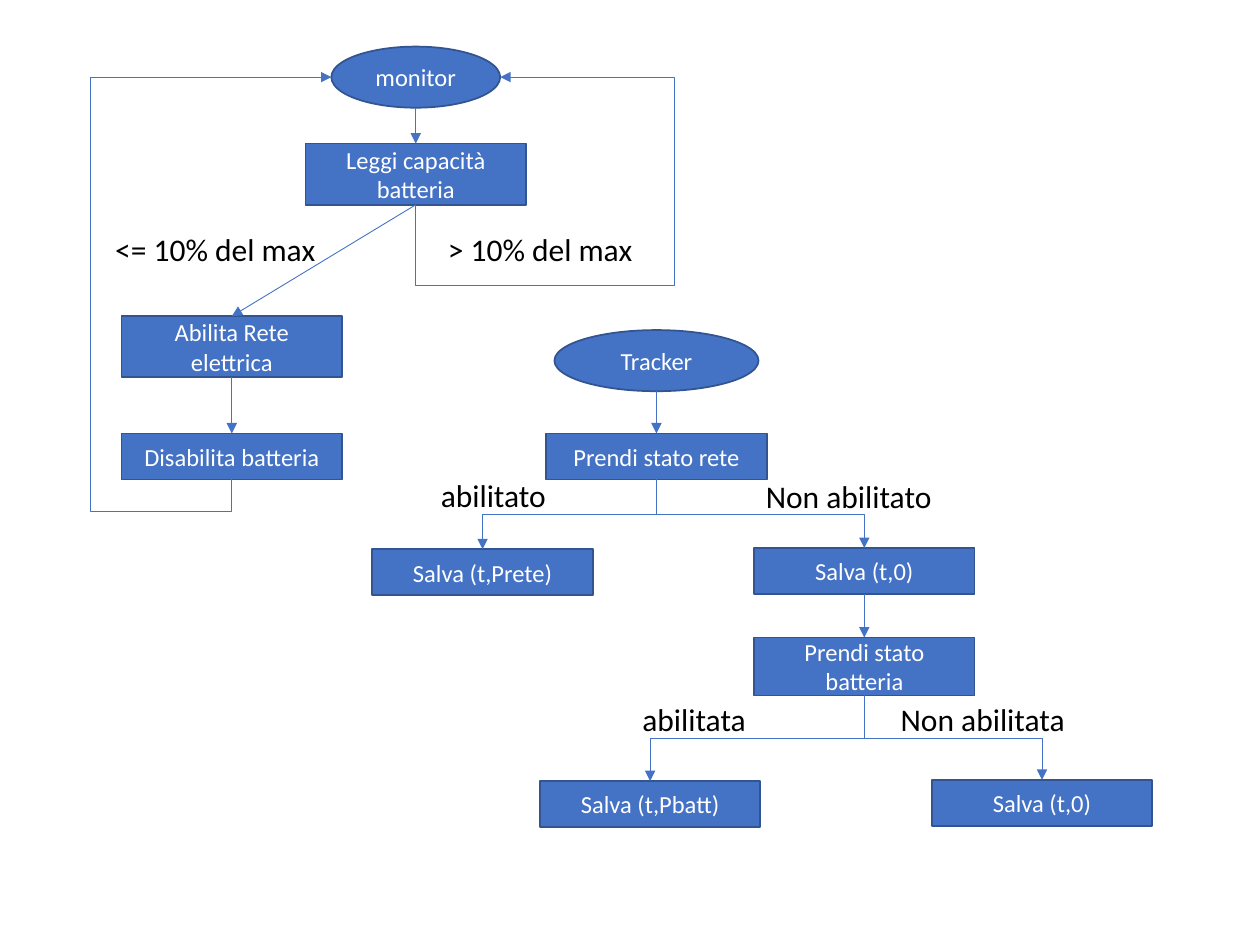
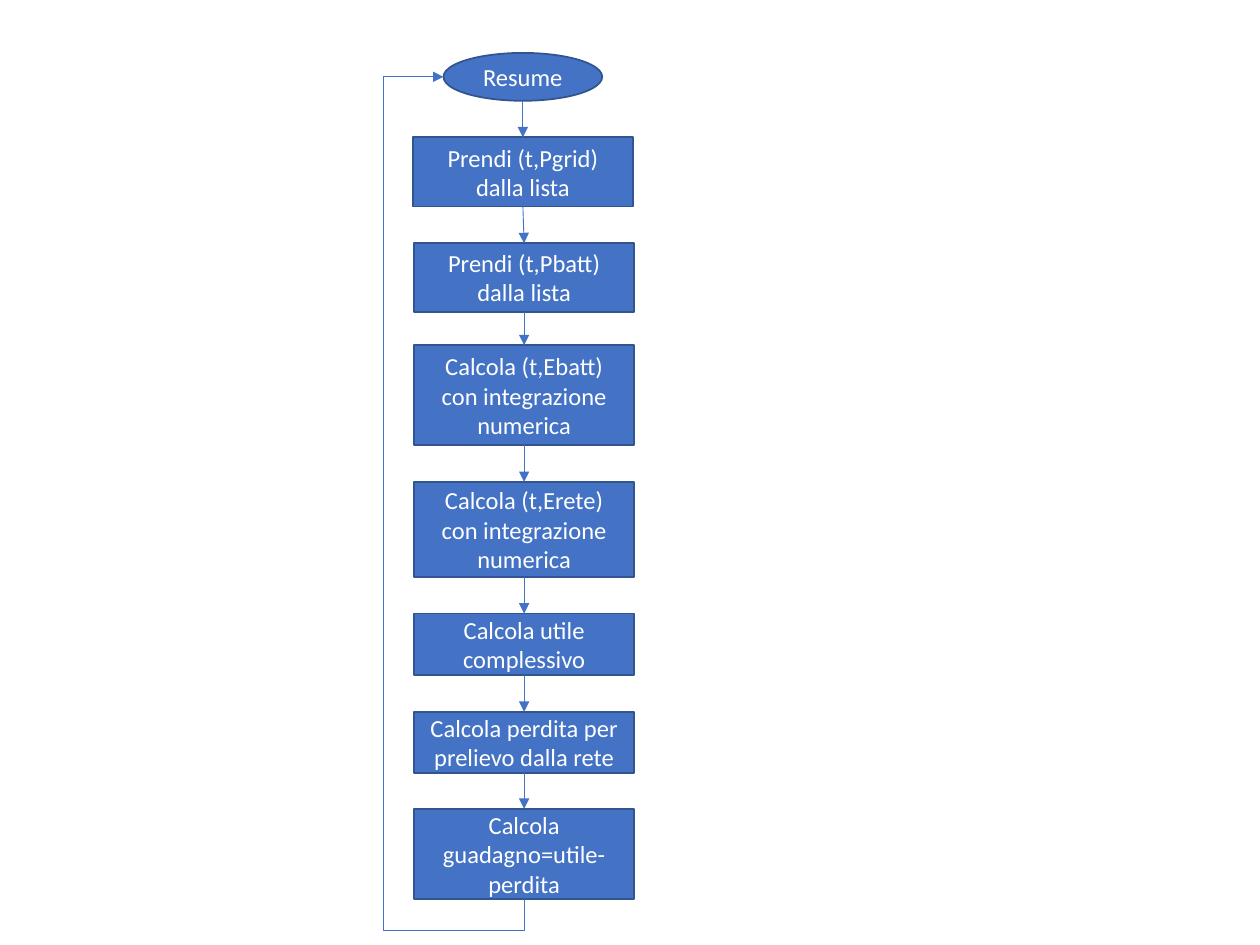
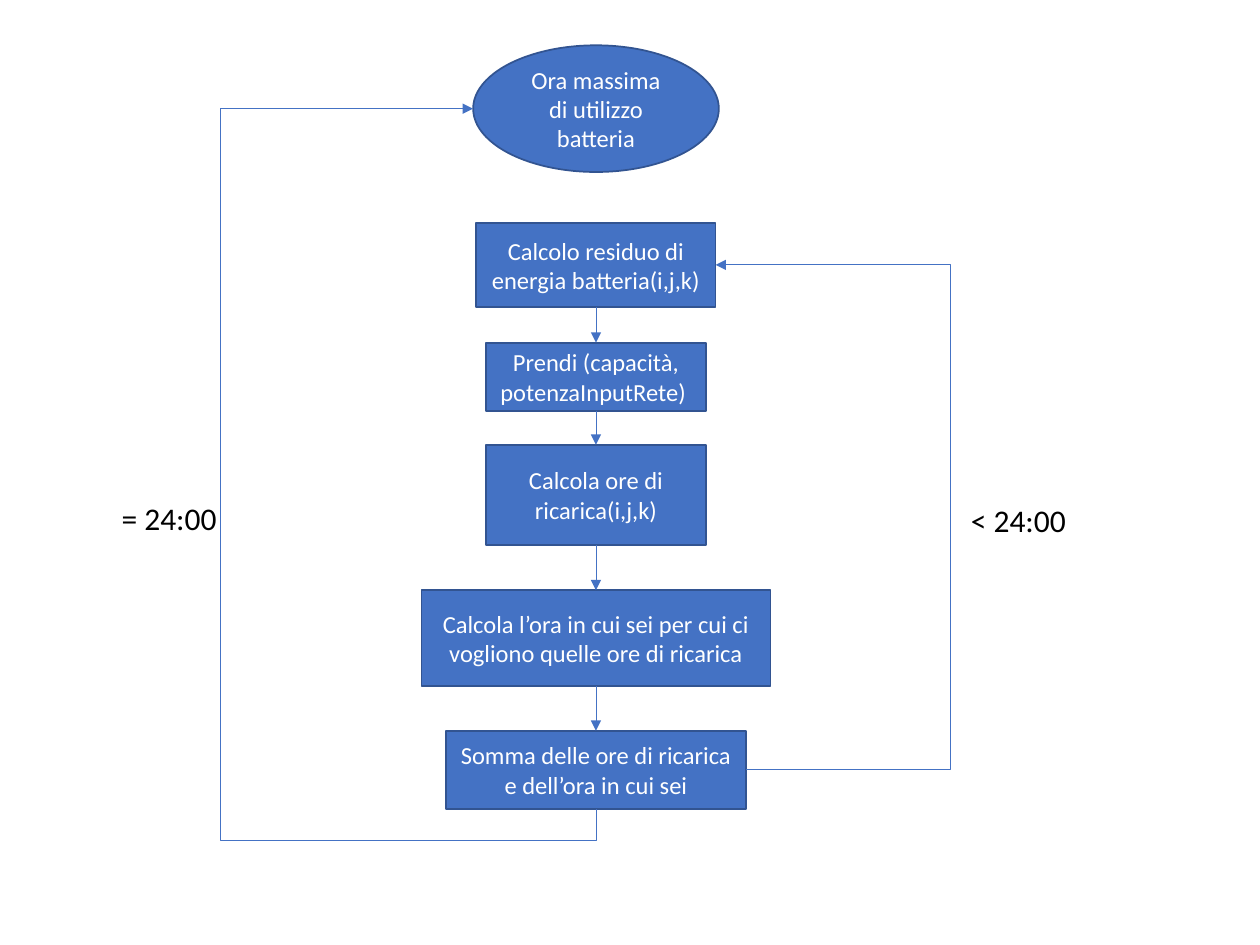
from lxml.etree import SubElement
from pptx import Presentation
from pptx.dml.color import RGBColor
from pptx.enum.shapes import MSO_CONNECTOR, MSO_SHAPE
from pptx.enum.text import MSO_ANCHOR, MSO_AUTO_SIZE, PP_ALIGN
from pptx.oxml.ns import qn
from pptx.util import Inches, Pt


def color(hex_value):
    return RGBColor.from_string(hex_value)


BLUE, BORDER, WHITE, BLACK = "4472C4", "325491", "FFFFFF", "000000"
FONT = "Calibri"
START, STEP = MSO_SHAPE.OVAL, MSO_SHAPE.RECTANGLE
TOP, LEFT, BOTTOM, RIGHT = range(4)
SIDE_SHARES = {TOP: (0.5, 0), LEFT: (0, 0.5), BOTTOM: (0.5, 1), RIGHT: (1, 0.5)}
STEP_WIDTH = 17.5

deck = Presentation()
deck.slide_width, deck.slide_height = Inches(10), Inches(7.5)
cell = deck.slide_width / 100

# Steps: kind, centre column, top row, columns, rows, text.
# Links: source, side, target, side, bends in order along the route.
# Labels: column, row, columns, text.
monitoring = {
    "steps": {
        "monitor": (START, 33, 3.7, 13.4, 4.85, "monitor"),
        "capacity": (STEP, 33, 11.4, STEP_WIDTH, 4.85, "Leggi capacità batteria"),
        "grid on": (STEP, 18.4, 25.1, STEP_WIDTH, 4.85, "Abilita Rete elettrica"),
        "battery off": (STEP, 18.4, 34.4, STEP_WIDTH, 3.65, "Disabilita batteria"),
        "tracker": (START, 52.1, 26.2, 16.2, 4.85, "Tracker"),
        "grid state": (STEP, 52.1, 34.4, STEP_WIDTH, 3.65, "Prendi stato rete"),
        "save grid": (STEP, 38.3, 43.6, STEP_WIDTH, 3.65, "Salva (t,Prete)"),
        "no grid": (STEP, 68.6, 43.5, STEP_WIDTH, 3.65, "Salva (t,0)"),
        "battery state": (STEP, 68.6, 50.6, STEP_WIDTH, 4.6, "Prendi stato batteria"),
        "save battery": (STEP, 51.6, 62, STEP_WIDTH, 3.65, "Salva (t,Pbatt)"),
        "no battery": (STEP, 82.7, 61.9, STEP_WIDTH, 3.65, "Salva (t,0)"),
    },
    "links": [
        ("monitor", BOTTOM, "capacity", TOP),
        ("capacity", BOTTOM, "grid on", TOP),
        ("capacity", BOTTOM, "monitor", RIGHT, 22.7, 53.5),
        ("grid on", BOTTOM, "battery off", TOP),
        ("battery off", BOTTOM, "monitor", LEFT, 40.6, 7.2),
        ("tracker", BOTTOM, "grid state", TOP),
        ("grid state", BOTTOM, "save grid", TOP, 40.8),
        ("grid state", BOTTOM, "no grid", TOP, 40.8),
        ("no grid", BOTTOM, "battery state", TOP),
        ("battery state", BOTTOM, "save battery", TOP, 58.6),
        ("battery state", BOTTOM, "no battery", TOP, 58.6),
    ],
    "labels": [
        (50, 55.1, 10.3, "abilitata"),
        (70.5, 55.1, 15.2, "Non abilitata"),
        (34, 37.3, 10.4, "abilitato"),
        (59.8, 37.4, 15.3, "Non abilitato"),
        (7.6, 17.8, 18.7, " <= 10% del max"),
        (34, 17.8, 17.4, " > 10% del max"),
    ],
}

summary = {
    "steps": {
        "resume": (START, 41.5, 4.2, 12.6, 3.8, "Resume"),
        "grid power": (STEP, 41.5, 10.9, STEP_WIDTH, 5.5, "Prendi (t,Pgrid) dalla lista"),
        "battery power": (STEP, 41.6, 19.3, STEP_WIDTH, 5.45, "Prendi (t,Pbatt) dalla lista"),
        "battery energy": (STEP, 41.6, 27.4, STEP_WIDTH, 7.95,
                           "Calcola (t,Ebatt) con integrazione numerica"),
        "grid energy": (STEP, 41.6, 38.25, STEP_WIDTH, 7.55,
                        "Calcola (t,Erete) con integrazione numerica"),
        "profit": (STEP, 41.6, 48.7, STEP_WIDTH, 4.85, "Calcola utile complessivo"),
        "loss": (STEP, 41.6, 56.5, STEP_WIDTH, 4.85, "Calcola perdita per prelievo dalla rete"),
        "gain": (STEP, 41.6, 64.2, STEP_WIDTH, 7.15, "Calcola guadagno=utile-perdita"),
    },
    "links": [("gain", BOTTOM, "resume", LEFT, 73.8, 30.4)],
    "labels": [],
}
order = list(summary["steps"])
summary["links"] += [(a, BOTTOM, b, TOP) for a, b in zip(order, order[1:])]

recharge = {
    "steps": {
        "last hour": (START, 47.3, 3.6, 19.5, 10.05, "Ora massima di utilizzo batteria"),
        "residue": (STEP, 47.3, 17.7, 19, 6.65, "Calcolo residuo di energia batteria(i,j,k)"),
        "inputs": (STEP, 47.3, 27.2, STEP_WIDTH, 5.4, "Prendi (capacità, potenzaInputRete) "),
        "hours": (STEP, 47.3, 35.3, STEP_WIDTH, 7.95, "Calcola ore di ricarica(i,j,k)"),
        "current hour": (STEP, 47.3, 46.85, 27.7, 7.6,
                         "Calcola l’ora in cui sei per cui ci vogliono quelle ore di ricarica"),
        "sum": (STEP, 47.3, 58, 23.8, 6.2, "Somma delle ore di ricarica e dell’ora in cui sei"),
    },
    "links": [
        ("sum", RIGHT, "residue", RIGHT, 75.4),
        ("sum", BOTTOM, "last hour", LEFT, 66.7, 17.5),
    ],
    "labels": [(75.5, 39.3, 10.2, " < 24:00"), (8.1, 39.1, 10.2, " = 24:00")],
}
order = list(recharge["steps"])[1:]
recharge["links"] += [(a, BOTTOM, b, TOP) for a, b in zip(order, order[1:])]

for flow in (monitoring, summary, recharge):
    slide = deck.slides.add_slide(deck.slide_layouts[6])
    drawn = {}

    for key, (kind, centre, top, columns, rows, wording) in flow["steps"].items():
        box = [round(n * cell) for n in (centre - columns / 2, top, columns, rows)]
        step = drawn[key] = slide.shapes.add_shape(kind, *box)
        step.shadow.inherit = False
        step.fill.solid()
        step.fill.fore_color.rgb = color(BLUE)
        step.line.color.rgb = color(BORDER)
        step.line.width = Pt(1)
        step.text_frame.vertical_anchor = MSO_ANCHOR.MIDDLE
        paragraph = step.text_frame.paragraphs[0]
        paragraph.text = wording
        paragraph.alignment = PP_ALIGN.CENTER
        paragraph.font.name, paragraph.font.size = FONT, Pt(14)
        paragraph.font.color.rgb = color(WHITE)

    for source, out_side, target, in_side, *bends in flow["links"]:
        ends = [(drawn[source], out_side), (drawn[target], in_side)]
        (x0, y0), (x1, y1) = [
            (step.left + step.width * SIDE_SHARES[side][0],
             step.top + step.height * SIDE_SHARES[side][1])
            for step, side in ends
        ]
        dx, dy = x1 - x0, y1 - y0
        turned = bool(bends) and out_side == BOTTOM
        route = (x0, y0, x1, y1)
        if turned:
            middle_x, middle_y = (x0 + x1) / 2, (y0 + y1) / 2
            route = (middle_x - dy / 2, middle_y + dx / 2,
                     middle_x + dy / 2, middle_y - dx / 2)
        style = MSO_CONNECTOR.ELBOW if bends else MSO_CONNECTOR.STRAIGHT
        arrow = slide.shapes.add_connector(style, *map(round, route))
        arrow.line.color.rgb = color(BLUE)
        arrow.line.width = Pt(0.5)
        properties = arrow.element.spPr
        SubElement(properties.find(qn("a:ln")), qn("a:tailEnd"), type="triangle")
        SubElement(properties, qn("a:effectLst"))
        if turned:
            properties.find(qn("a:xfrm")).set("rot", "5400000")

        glue = arrow.element.find(".//" + qn("p:cNvCxnSpPr"))
        for tag, (step, side) in zip(("a:stCxn", "a:endCxn"), ends):
            site = side * 2 if step.auto_shape_type == START else side
            SubElement(glue, qn(tag), id=str(step.shape_id), idx=str(site))

        if bends:
            outline = properties.find(qn("a:prstGeom"))
            outline.set("prst", f"bentConnector{len(bends) + 2}")
            axes = [(y0, dy), (x0, dx)] if turned else [(x0, dx)]
            for number, (bend, (origin, length)) in enumerate(zip(bends, axes), 1):
                share = round((bend * cell - origin) / length * 100000)
                SubElement(outline.find(qn("a:avLst")), qn("a:gd"),
                           name=f"adj{number}", fmla=f"val {share}")

    for column, row, columns, wording in flow["labels"]:
        label = slide.shapes.add_textbox(*[round(n * cell) for n in (column, row, columns, 4)])
        for setting, value in {"word_wrap": False, "auto_size": MSO_AUTO_SIZE.SHAPE_TO_FIT_TEXT}.items():
            setattr(label.text_frame, setting, value)
        paragraph = label.text_frame.paragraphs[0]
        paragraph.text = wording
        paragraph.font.name, paragraph.font.size = FONT, Pt(18)
        paragraph.font.color.rgb = color(BLACK)

deck.save("out.pptx")
